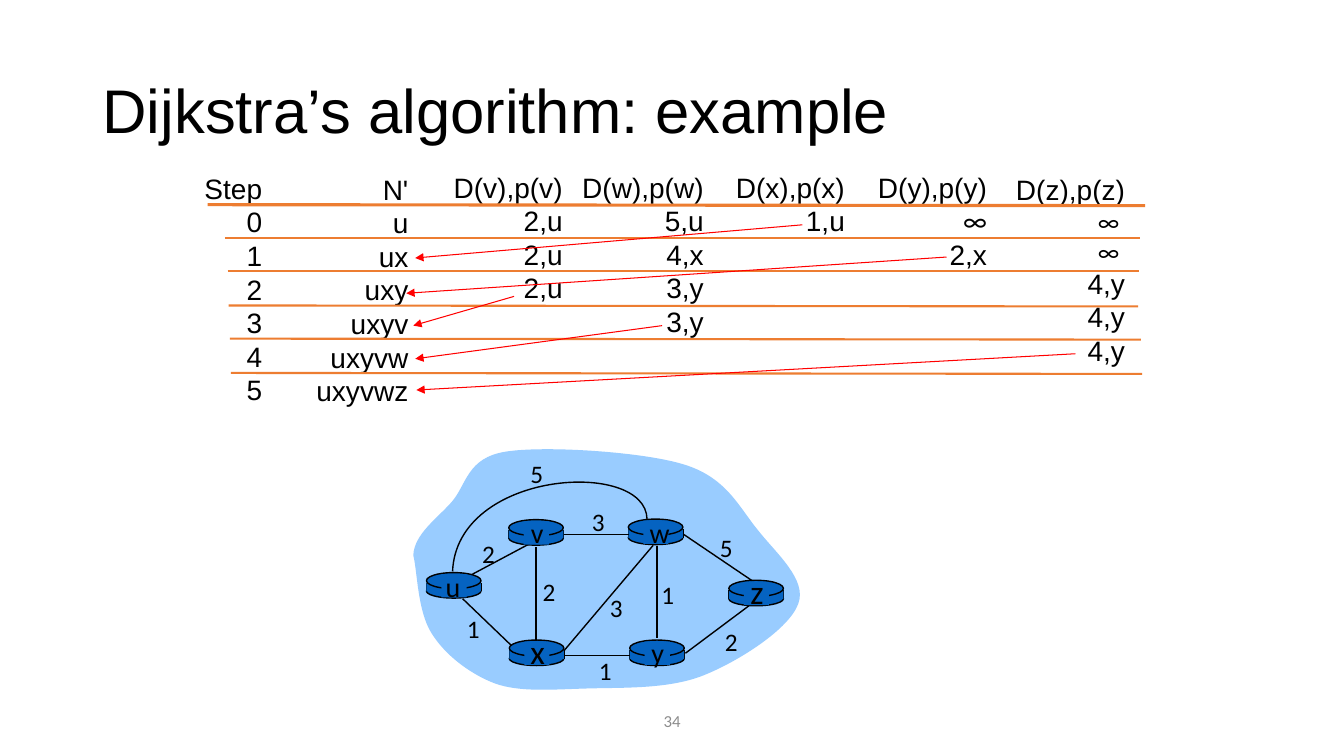
from pptx import Presentation
from pptx import oxml
from pptx.dml import color
from pptx.enum import shapes, text
from pptx.oxml import ns
from pptx.util import Pt

TITLE = "Dijkstra’s algorithm: example"
PAGE = "34"
BLACK, BLUE, SKY, ORANGE, RED, GREY = (
    "000000", "0563C1", "99CCFF", "ED7D31", "FF0000", "8C8C8C")
ARIAL = {"name": "Arial", "size": Pt(20)}
CALIBRI = {"name": "Calibri", "size": Pt(20)}
SMALL = {"name": "Calibri", "size": Pt(18)}

COLUMNS = [
    (194.4, 118.8, 55.4, ["Step", "0", "1", "2", "3", "4", "5"], ARIAL),
    (298.8, 119.3, 79.9, ["N'", "u", "ux", "uxy", "uxyv", "uxyvw", "uxyvwz"], ARIAL),
    (409, 117.9, 92.2, ["D(v),p(v)", "2,u", "2,u", "2,u"], ARIAL),
    (509.8, 117.9, 101.4, ["D(w),p(w)", "5,u", "4,x", "3,y", "3,y"], ARIAL),
    (610.6, 117.9, 92.2, ["D(x),p(x)", "1,u"], ARIAL),
    (712.1, 118.1, 92.2, ["D(y),p(y)", "∞", "2,x"], CALIBRI),
    (810.7, 119.5, 92.2, ["D(z),p(z)", "∞ ", "∞ ", "4,y", "4,y", "4,y"], SMALL),
]
RULES = [
    (148.3, 146.2, 817.9, 146.9), (160.6, 169.9, 814.3, 169.9),
    (162.7, 193.7, 813.6, 193.7), (163.4, 218.2, 812.9, 218.9),
    (164.2, 241.9, 815, 242.6), (164.9, 266.4, 815.8, 267.1),
]
ARROWS = [
    (573.1, 160.6, 296.6, 184.3), (676.1, 183.6, 290.2, 209.5),
    (367.2, 211.7, 295.2, 232.6), (473, 232.6, 296.6, 256.3),
    (768.2, 252.7, 297.4, 278.6),
]
CLOUD = [
    (295.2, 396.7),
    (295.9, 381.6), (311.8, 370.8), (322.6, 358.6),
    (333.4, 346.3), (333.4, 326.9), (361.4, 322.6),
    (388.8, 318.2), (459.4, 322.6), (488.9, 331.9),
    (519.1, 341.3), (527.8, 362.2), (541.4, 378.7),
    (554.4, 395.3), (576.7, 414), (570.2, 431.3),
    (563.8, 449.3), (527.8, 472.3), (502.6, 482.4),
    (477.4, 492.5), (444.2, 491), (419, 491.8),
    (394.6, 492.5), (371.5, 494.6), (353.5, 488.2),
    (334.8, 481), (317.5, 467.3), (308.2, 452.2),
    (298.1, 436.3), (298.1, 407.5), (295.2, 396.7),
]
ARC = [(462.2, 370.8), (461.5, 327.6), (326.2, 335.5), (323.3, 408.2)]
ROUTERS = [
    ("u", 304.6, 416.2, 20, 323.6, 403.2), ("x", 363.8, 464.4, 24, 384.1, 447.1),
    ("v", 363.4, 378.4, 20, 383.8, 365), ("w", 448.8, 378, 20, 469.4, 365),
    ("y", 449.8, 464.4, 20, 469.8, 450.7), ("z", 520.6, 421.7, 24, 540.7, 404.6),
]
EDGES = [
    (337, 410.4, 380.2, 387.4), (383, 391, 383, 457.9),
    (365, 460.8, 330.5, 427.7), (403.2, 464.4, 466.6, 389.5),
    (450, 468, 403.9, 468), (469.4, 390.2, 469.4, 455.8),
    (489.6, 466.6, 535, 432.7), (537.1, 414.7, 488.2, 381.6),
    (449.3, 381.6, 403.2, 381.6),
]
COSTS = [
    ("2", 337, 380.9), ("2", 380.2, 408.2), ("1", 326.2, 434.9),
    ("3", 428.4, 419.8), ("1", 420.5, 464.4), ("1", 465.1, 410.4),
    ("2", 510.5, 443.5), ("5", 506.9, 376.6), ("3", 415.4, 357.8),
    ("5", 371.5, 324),
]

deck = Presentation()
deck.slide_width, deck.slide_height = Pt(960), Pt(540)
slide = deck.slides.add_slide(deck.slide_layouts[5])
parts = slide.shapes


def rgb(code):
    return color.RGBColor.from_string(code)


def apply(item, look):
    for key, val in look.items():
        setattr(item, key, val)


def write(para, words, look, ink=BLACK):
    run = para.add_run()
    run.text = words
    apply(run.font, look)
    run.font.color.rgb = rgb(ink)


def label(left, top, width, height, rows, align, ink=BLACK):
    box = parts.add_textbox(Pt(left), Pt(top), Pt(width), Pt(height))
    frame = box.text_frame
    apply(frame, {"word_wrap": False, "auto_size": text.MSO_AUTO_SIZE.SHAPE_TO_FIT_TEXT})
    for i, (words, look) in enumerate(rows):
        para = frame.add_paragraph() if i else frame.paragraphs[0]
        para.alignment = align
        write(para, words, look, ink)
    return frame


def line(ends, ink, width, arrow=False):
    link = parts.add_connector(shapes.MSO_CONNECTOR.STRAIGHT, *map(Pt, ends))
    link.line.color.rgb = rgb(ink)
    link.line.width = Pt(width)
    if arrow:
        tail = oxml.parse_xml(f'<a:tailEnd {ns.nsdecls("a")} type="triangle"/>')
        link.line._get_or_add_ln().append(tail)
    link._element.spPr.append(oxml.parse_xml(f'<a:effectLst {ns.nsdecls("a")}/>'))


def paint(shape, fill=None, ink=None):
    shape.shadow.inherit = False
    if fill:
        shape.fill.solid()
        shape.fill.fore_color.rgb = rgb(fill)
    else:
        shape.fill.background()
    if ink:
        shape.line.color.rgb = rgb(ink)
        shape.line.width = Pt(1)
    else:
        shape.line.fill.background()


def block(kind, left, top, width, height, ink=None):
    paint(parts.add_shape(kind, Pt(left), Pt(top), Pt(width), Pt(height)), BLUE, ink)


def curve(knots, closed, fill=None, ink=None):
    spots = [tuple(map(Pt, knot)) for knot in knots]
    form = parts.build_freeform(*spots[0], scale=1.0)
    form.add_line_segments(spots[1:], close=closed)
    shape = form.convert_to_shape()
    legs = list(shape._element.iter(ns.qn("a:lnTo")))
    for i in range(0, len(spots) - 1, 3):
        bend = oxml.parse_xml(f'<a:cubicBezTo {ns.nsdecls("a")}/>')
        legs[i].addprevious(bend)
        for leg in legs[i:i + 3]:
            bend.append(leg[0])
            leg.getparent().remove(leg)
    paint(shape, fill, ink)


def router(left, top):
    oval, rect = shapes.MSO_SHAPE.OVAL, shapes.MSO_SHAPE.RECTANGLE
    block(oval, left, top + 1, 39, 10, BLACK)
    for x in (left, left + 39):
        line((x, top, x, top + 6.3), BLACK, 1)
    block(rect, left, top, 39, 6.3)
    block(oval, left, top - 7.2, 39, 11.5, BLACK)


def main():
    mid, right = text.PP_ALIGN.CENTER, text.PP_ALIGN.RIGHT
    title = parts.title
    apply(title, {"left": Pt(66), "top": Pt(28.8), "width": Pt(828), "height": Pt(104.4)})
    title.text_frame.vertical_anchor = text.MSO_ANCHOR.MIDDLE
    para = title.text_frame.paragraphs[0]
    apply(para, {"alignment": text.PP_ALIGN.LEFT, "line_spacing": 0.9})
    write(para, TITLE, {"name": "Arial", "size": Pt(44)})

    page = label(318.2, 500.4, 324, 28.8,
                 [(PAGE, {"name": "Calibri", "size": Pt(12)})], mid, GREY)
    apply(page, {"vertical_anchor": text.MSO_ANCHOR.MIDDLE, "word_wrap": True,
                 "auto_size": text.MSO_AUTO_SIZE.NONE})

    for edge, top, width, cells, sign in COLUMNS:
        rows = [(c, sign if "∞" in c else ARIAL) for c in cells]
        tall = 7.2 + sum(look["size"].pt * 1.2 for _, look in rows)
        label(edge - width, top, width, tall, rows, right)
    for i, ends in enumerate(RULES):
        line(ends, ORANGE, 1.5 if i else 2.25)

    curve(CLOUD, True, fill=SKY)
    line(EDGES[0], BLACK, 1)
    for _, left, top, *_ in ROUTERS:
        router(left, top)
    for ends in EDGES[1:]:
        line(ends, BLACK, 1)
    curve(ARC, False, ink=BLACK)
    for name, left, top, size, x, y in ROUTERS:
        block(shapes.MSO_SHAPE.RECTANGLE, left + 10.7, top - 6, 18, 16.6)
        label(x - 12.5, y, 25, size * 1.2 + 7.2,
              [(name, {"name": "Calibri", "size": Pt(size)})], mid)
    for cost, left, top in COSTS:
        label(left, top, 23.8, 28.8, [(cost, SMALL)], mid)
    for ends in ARROWS:
        line(ends, RED, 0.75, True)
    deck.save("out.pptx")


if __name__ == "__main__":
    main()
